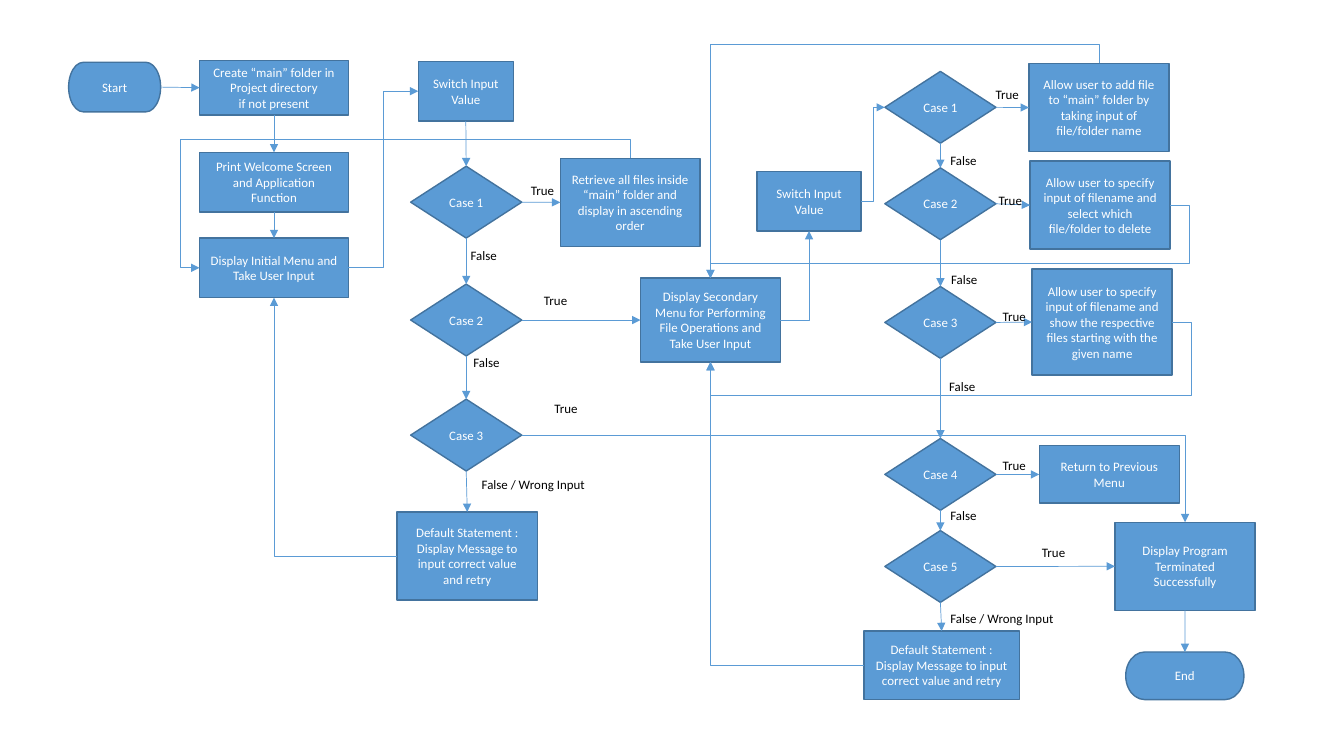
from lxml.etree import SubElement as Sub
from pptx import Presentation
from pptx.dml.color import RGBColor
from pptx.enum.shapes import MSO_CONNECTOR as Link, MSO_SHAPE as Form
from pptx.enum.text import MSO_ANCHOR as Anchor, MSO_AUTO_SIZE as Fit, PP_ALIGN as Align
from pptx.oxml.ns import qn
from pptx.util import Cm, Pt

BLUE = RGBColor(0x5B, 0x9B, 0xD5)
EDGE = RGBColor(0x43, 0x73, 0x9E)
WHITE = RGBColor(255, 255, 255)
BLACK = RGBColor(0, 0, 0)
FONT, SIZE = "Calibri", Pt(9.2)

RECT, STEP = Form.RECTANGLE, Form.FLOWCHART_PROCESS
TEST, CAP = Form.FLOWCHART_DECISION, Form.FLOWCHART_TERMINATOR
TOP, LEFT, BOTTOM, RIGHT = range(4)

RETRY = "Default Statement : Display Message to input correct value and retry"
SWITCH = "Switch Input\nValue"
NODES = {
    "start": (CAP, 1.73, 1.57, 2.32, 1.25, "Start"),
    "folder": (RECT, 5.03, 1.52, 3.75, 1.38,
               "Create “main” folder in Project directory\nif not present"),
    "welcome": (RECT, 5.03, 3.84, 3.75, 1.5, "Print Welcome Screen and Application Function"),
    "menu": (RECT, 5.03, 6, 3.75, 1.5, "Display Initial Menu and Take User Input"),
    "switch": (RECT, 10.54, 1.55, 2.4, 1.5, SWITCH),
    "list": (STEP, 14.12, 3.99, 3.52, 2.22,
             "Retrieve all files inside “main” folder and display in ascending order"),
    "retry": (STEP, 10.01, 12.9, 3.53, 2.22, RETRY),
    "second": (STEP, 16.14, 7.01, 3.53, 2.11,
               "Display Secondary Menu for Performing File Operations and Take User Input"),
    "switch2": (RECT, 19.08, 4.32, 2.62, 1.5, SWITCH),
    "add": (STEP, 25.93, 1.6, 3.53, 2.22,
            "Allow user to add file to “main” folder by taking input of file/folder name"),
    "delete": (STEP, 25.96, 4.06, 3.53, 2.22,
               "Allow user to specify input of filename and select which file/folder to delete"),
    "search": (STEP, 26.01, 6.78, 3.53, 2.67,
               "Allow user to specify input of filename and show the respective files "
               "starting with the given name"),
    "back": (STEP, 26.19, 11.23, 3.53, 1.45, "Return to Previous Menu"),
    "done": (STEP, 28.1, 13.16, 3.53, 2.22, "Display Program Terminated Successfully"),
    "retry2": (STEP, 21.77, 15.9, 3.92, 1.73, RETRY),
    "end": (CAP, 28.37, 16.43, 2.98, 1.2, "End"),
}

CASES = {
    "a": (10.35, (4.19, 7.16, 10.06)),
    "b": (22.3, (1.8, 4.23, 7.22, 11.05, 13.37)),
}
CASE_W, CASE_H = 2.8, 1.81

DOWN = ["folder welcome menu", "switch a1 a2 a3 retry",
        "b1 b2 b3 b4 b5 retry2", "done end"]
ACROSS = ["start folder", "a1 list", "a2 second", "b1 add", "b2 delete",
          "b3 search", "b4 back", "b5 done"]

BENDS = [
    ("menu", RIGHT, "switch", LEFT, 3, 0, "v", [50000]),
    ("retry", LEFT, "menu", BOTTOM, 2, 180, "", []),
    ("a3", RIGHT, "done", TOP, 2, 0, "", []),
    ("switch2", RIGHT, "b1", LEFT, 3, 0, "v", [50000]),
    ("retry2", LEFT, "second", BOTTOM, 2, 180, "", []),
    ("list", TOP, "menu", LEFT, 4, 270, "hv", [-17600, 104500]),
    ("second", RIGHT, "switch2", BOTTOM, 2, 0, "v", []),
    ("search", RIGHT, "second", BOTTOM, 4, 0, "h", [-4200, 183000]),
    ("delete", RIGHT, "second", TOP, 4, 0, "h", [-4200, 80200]),
    ("add", TOP, "second", TOP, 3, 270, "hv", [-9000]),
]

LABELS = [
    ("True", 1.12, [(13.13, 4.47), (13.46, 7.26), (13.72, 9.98), (24.84, 2.06),
                    (24.92, 4.72), (25.02, 7.65), (25.02, 11.4), (26.01, 13.59)]),
    ("False", 1.19, [(11.61, 6.12), (11.68, 8.81), (23.7, 3.73), (23.72, 6.71),
                     (23.67, 9.42), (23.7, 12.67)]),
    ("False / Wrong Input", 3.15, [(11.89, 11.89), (23.7, 15.27)]),
]

deck = Presentation()
deck.slide_width, deck.slide_height = Cm(33.87), Cm(19.05)
slide = deck.slides.add_slide(deck.slide_layouts[6])
shapes = slide.shapes
made = {}


def write(frame, text, color, align):
    frame.text = text
    for para in frame.paragraphs:
        para.alignment = align
        for run in para.runs:
            run.font.name, run.font.size = FONT, SIZE
            run.font.color.rgb = color


def add_node(name, form, x, y, w, h, text):
    node = shapes.add_shape(form, Cm(x), Cm(y), Cm(w), Cm(h))
    node.shadow.inherit = False
    node.fill.solid()
    node.fill.fore_color.rgb = BLUE
    node.line.color.rgb = EDGE
    node.line.width = Pt(1)
    node.text_frame.word_wrap = True
    node.text_frame.vertical_anchor = Anchor.MIDDLE
    write(node.text_frame, text, WHITE, Align.CENTER)
    made[name] = node


def add_link(kind, first, out, last, into):
    link = shapes.add_connector(kind, 0, 0, 0, 0)
    link.begin_connect(made[first], out)
    link.end_connect(made[last], into)
    link.line.color.rgb = BLUE
    link.line.width = Pt(0.5)
    props = link._element.spPr
    Sub(props.find(qn("a:ln")), qn("a:tailEnd"), type="triangle")
    Sub(props, qn("a:effectLst"))
    return link


def bend(link, parts, turn, flips, bends):
    if turn % 180:
        w, h = link.width, link.height
        link.left += (w - h) // 2
        link.top += (h - w) // 2
        link.width, link.height = h, w
    props = link._element.spPr
    frame = props.find(qn("a:xfrm"))
    frame.set("rot", str(turn * 60000))
    for axis in "hv":
        frame.set("flip" + axis.upper(), str(int(axis in flips)))
    geom = props.find(qn("a:prstGeom"))
    geom.set("prst", f"bentConnector{parts}")
    guides = geom.find(qn("a:avLst"))
    for i, value in enumerate(bends, 1):
        Sub(guides, qn("a:gd"), name=f"adj{i}", fmla=f"val {value}")


for name, node in NODES.items():
    add_node(name, *node)
for key, (x, tops) in CASES.items():
    for i, y in enumerate(tops, 1):
        add_node(f"{key}{i}", TEST, x, y, CASE_W, CASE_H, f"Case {i}")

for chains, out, into in ((DOWN, BOTTOM, TOP), (ACROSS, RIGHT, LEFT)):
    for chain in chains:
        names = chain.split()
        for first, last in zip(names, names[1:]):
            add_link(Link.STRAIGHT, first, out, last, into)
for first, out, last, into, *shape in BENDS:
    bend(add_link(Link.ELBOW, first, out, last, into), *shape)

for text, width, spots in LABELS:
    for x, y in spots:
        frame = shapes.add_textbox(Cm(x), Cm(y), Cm(width), Cm(0.66)).text_frame
        frame.word_wrap = False
        frame.auto_size = Fit.SHAPE_TO_FIT_TEXT
        write(frame, text, BLACK, Align.LEFT)

deck.save("out.pptx")
